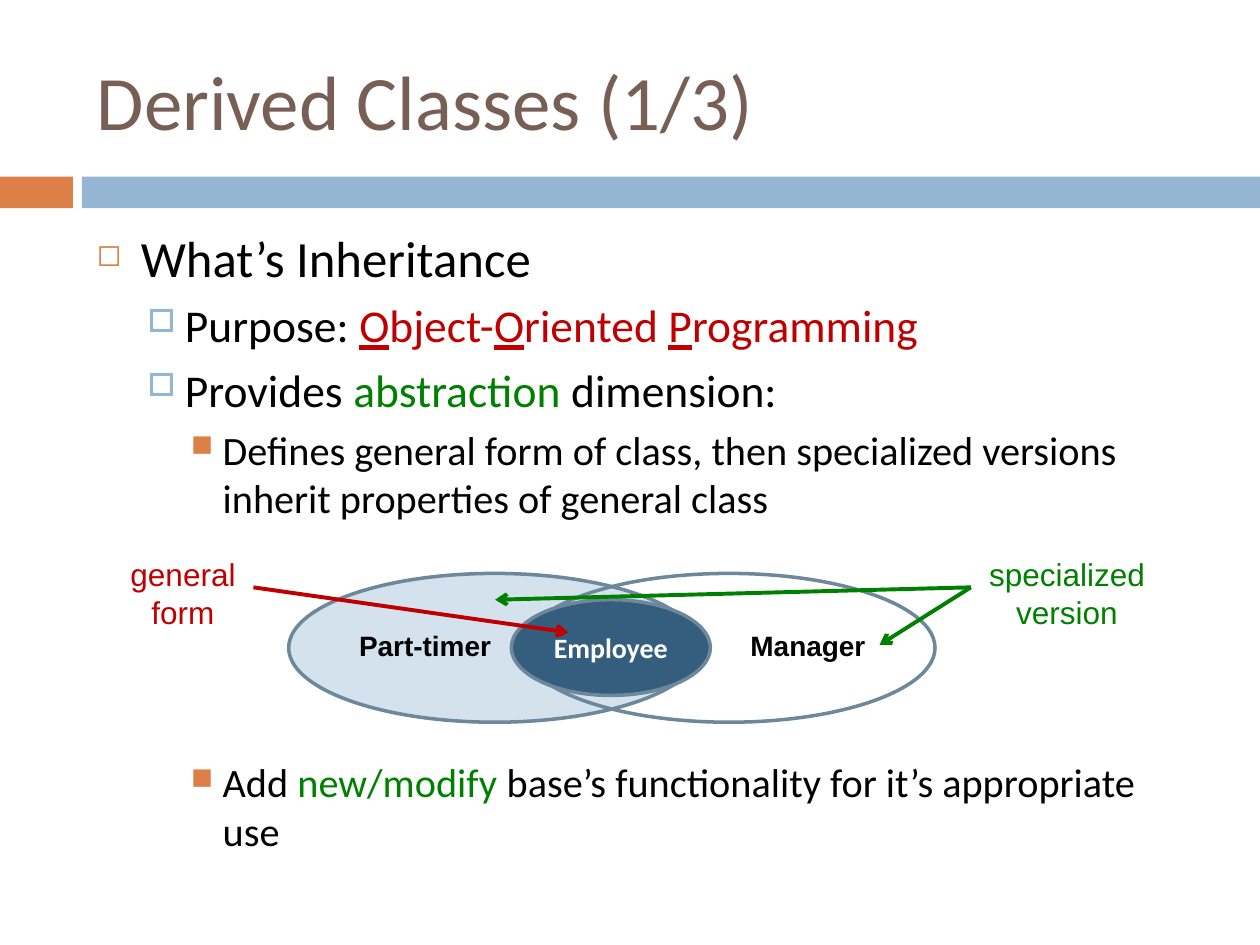
import pptx
import pptx.dml.color
import pptx.enum.shapes
import pptx.enum.text
import pptx.oxml.ns
import pptx.util
from dataclasses import dataclass
from lxml import etree

Cm = pptx.util.Cm
Pt = pptx.util.Pt
Shapes = pptx.enum.shapes.MSO_SHAPE
Align = pptx.enum.text.PP_ALIGN
Anchor = pptx.enum.text.MSO_ANCHOR


@dataclass(frozen=True)
class Theme:
    heading_font: str = "Calibri"
    label_font: str = "Arial"
    title: str = "775F55"
    text: str = "000000"
    white: str = "FFFFFF"
    orange: str = "DD8047"
    blue: str = "94B6D2"
    red: str = "C00000"
    green: str = "008000"
    outline: str = "6D879B"
    pale: str = "D4E2ED"
    dark: str = "355D7E"
    title_size: int = 44
    body_sizes: tuple = (29, 26, 23)
    name_size: int = 16
    note_size: int = 18


THEME = Theme()

LEVELS = (
    {"margin": 0.89, "hanging": 0.89, "before": 7, "bullet": "◻", "color": THEME.orange, "scale": 60},
    {"margin": 1.78, "hanging": 0.76, "before": 5.5, "bullet": "□", "color": THEME.blue, "scale": 70},
    {"margin": 2.54, "hanging": 0.64, "before": 5, "bullet": "■", "color": THEME.orange, "scale": 75},
)
DIAGRAM_GAP = 135


def rgb(value):
    return pptx.dml.color.RGBColor.from_string(value)


def add_child(parent, tag, **attributes):
    return etree.SubElement(parent, pptx.oxml.ns.qn(tag), attributes)


def format_run(run, font, size, color, bold=False, underline=False):
    run.font.name = font
    run.font.size = Pt(size)
    run.font.color.rgb = rgb(color)
    run.font.bold = bold
    run.font.underline = underline


def add_filled_shape(slide, kind, box, fill=None, outline=None):
    shape = slide.shapes.add_shape(kind, *map(Cm, box))
    shape.shadow.inherit = False
    if fill:
        shape.fill.solid()
        shape.fill.fore_color.rgb = rgb(fill)
    else:
        shape.fill.background()
    if outline:
        shape.line.color.rgb = rgb(outline)
        shape.line.width = Pt(2)
    else:
        shape.line.fill.background()
    return shape


def add_label(slide, box, text, size, color, bold=False, wrap=True, align=None):
    text_frame = slide.shapes.add_textbox(*map(Cm, box)).text_frame
    text_frame.word_wrap = wrap
    text_frame.text = text
    paragraph = text_frame.paragraphs[0]
    paragraph.alignment = align
    format_run(paragraph.runs[0], THEME.label_font, size, color, bold)


def add_arrow(slide, start, end, color):
    connector = slide.shapes.add_connector(
        pptx.enum.shapes.MSO_CONNECTOR.STRAIGHT, *map(Cm, start + end))
    connector.line.color.rgb = rgb(color)
    connector.line.width = Pt(2.25)
    add_child(connector.line._get_or_add_ln(), "a:tailEnd", type="arrow")
    add_child(connector._element.spPr, "a:effectLst")


def add_title(slide, box, text):
    text_frame = slide.shapes.add_textbox(*map(Cm, box)).text_frame
    text_frame.word_wrap = True
    text_frame.vertical_anchor = Anchor.MIDDLE
    text_frame.text = text
    format_run(text_frame.paragraphs[0].runs[0], THEME.heading_font, THEME.title_size, THEME.title)


def add_band(slide, box, accent_width, gap):
    left, top, width, height = box
    offset = accent_width + gap
    add_filled_shape(slide, Shapes.RECTANGLE, (left, top, accent_width, height), THEME.orange)
    add_filled_shape(slide, Shapes.RECTANGLE, (left + offset, top, width - offset, height), THEME.blue)


def set_bullet(paragraph, level):
    properties = paragraph._p.get_or_add_pPr()
    properties.set("marL", str(Cm(level["margin"])))
    properties.set("indent", str(-Cm(level["hanging"])))
    color = add_child(properties, "a:buClr")
    add_child(color, "a:srgbClr", val=level["color"])
    add_child(properties, "a:buSzPct", val=str(level["scale"] * 1000))
    add_child(properties, "a:buChar", char=level["bullet"])


def add_outline(slide, box, items):
    text_frame = slide.shapes.add_textbox(*map(Cm, box)).text_frame
    text_frame.word_wrap = True
    for index, (depth, before, parts) in enumerate(items):
        paragraph = text_frame.add_paragraph() if index else text_frame.paragraphs[0]
        level = LEVELS[depth]
        paragraph.level = depth
        paragraph.space_before = Pt(before or level["before"])
        set_bullet(paragraph, level)
        for text, color, underline in parts:
            run = paragraph.add_run()
            run.text = text
            format_run(run, THEME.heading_font, THEME.body_sizes[depth], color, underline=underline)


def add_class_diagram(slide, box):
    left, top, width, height = box

    def place(x, y, *size):
        return (left + x, top + y) + size

    add_filled_shape(slide, Shapes.OVAL, place(4.07, 0.49, 8.31, 3), THEME.pale, THEME.outline)
    add_filled_shape(slide, Shapes.OVAL, place(8.79, 0.49, 8.31, 3), None, THEME.outline)
    employee = add_filled_shape(
        slide, Shapes.OVAL, place(8.56, 1.02, 4.01, 1.93), THEME.dark, THEME.outline)
    text_frame = employee.text_frame
    text_frame.word_wrap = False
    text_frame.vertical_anchor = Anchor.MIDDLE
    text_frame.text = "Employee"
    paragraph = text_frame.paragraphs[0]
    paragraph.alignment = Align.CENTER
    format_run(paragraph.runs[0], THEME.heading_font, THEME.name_size, THEME.white, bold=True)

    for text, x, label_width in (("Manager", 13.13, 2.84), ("Part-timer", 5.24, 3.2)):
        add_label(slide, place(x, 1.48, label_width, 0.94), text,
                  THEME.name_size, THEME.text, bold=True, wrap=False)

    note_width = 3.88
    notes_right = width - note_width
    for text, x, color in (("specialized version", notes_right, THEME.green),
                           ("general form", 0, THEME.red)):
        add_label(slide, place(x, 0, note_width, height), text,
                  THEME.note_size, color, align=Align.CENTER)

    for start_x, end, color in ((3.36, (9.71, 1.68), THEME.red),
                                (notes_right, (15.98, 1.93), THEME.green),
                                (notes_right, (8.23, 1.02), THEME.green)):
        add_arrow(slide, place(start_x, 0.77), place(*end), color)


def main():
    presentation = pptx.Presentation()
    presentation.slide_width = Cm(25.4)
    presentation.slide_height = Cm(19.05)
    slide = presentation.slides.add_slide(presentation.slide_layouts[6])

    def plain(text, color=THEME.text):
        return text, color, False

    purpose = [plain("Purpose: ")]
    for initial, rest in (("O", "bject-"), ("O", "riented "), ("P", "rogramming")):
        purpose += [(initial, THEME.red, True), plain(rest, THEME.red)]
    items = (
        (0, None, [plain("What’s Inheritance")]),
        (1, None, purpose),
        (1, None, [plain("Provides "), plain("abstraction", THEME.green), plain(" dimension:")]),
        (2, None, [plain("Defines general form of class, then specialized versions "
                         "inherit properties of general class")]),
        (2, DIAGRAM_GAP, [plain("Add "), plain("new/modify", THEME.green),
                          plain(" base’s functionality for it’s appropriate use")]),
    )
    add_band(slide, (0, 3.56, 25.4, 0.64), accent_width=1.47, gap=0.18)
    add_outline(slide, (1.7, 4.45, 22.66, 12.57), items)
    add_title(slide, (1.7, 0.64, 22.66, 2.74), "Derived Classes (1/3)")
    add_class_diagram(slide, (1.75, 11.07, 21.7, 1.8))
    presentation.save("out.pptx")


if __name__ == "__main__":
    main()
